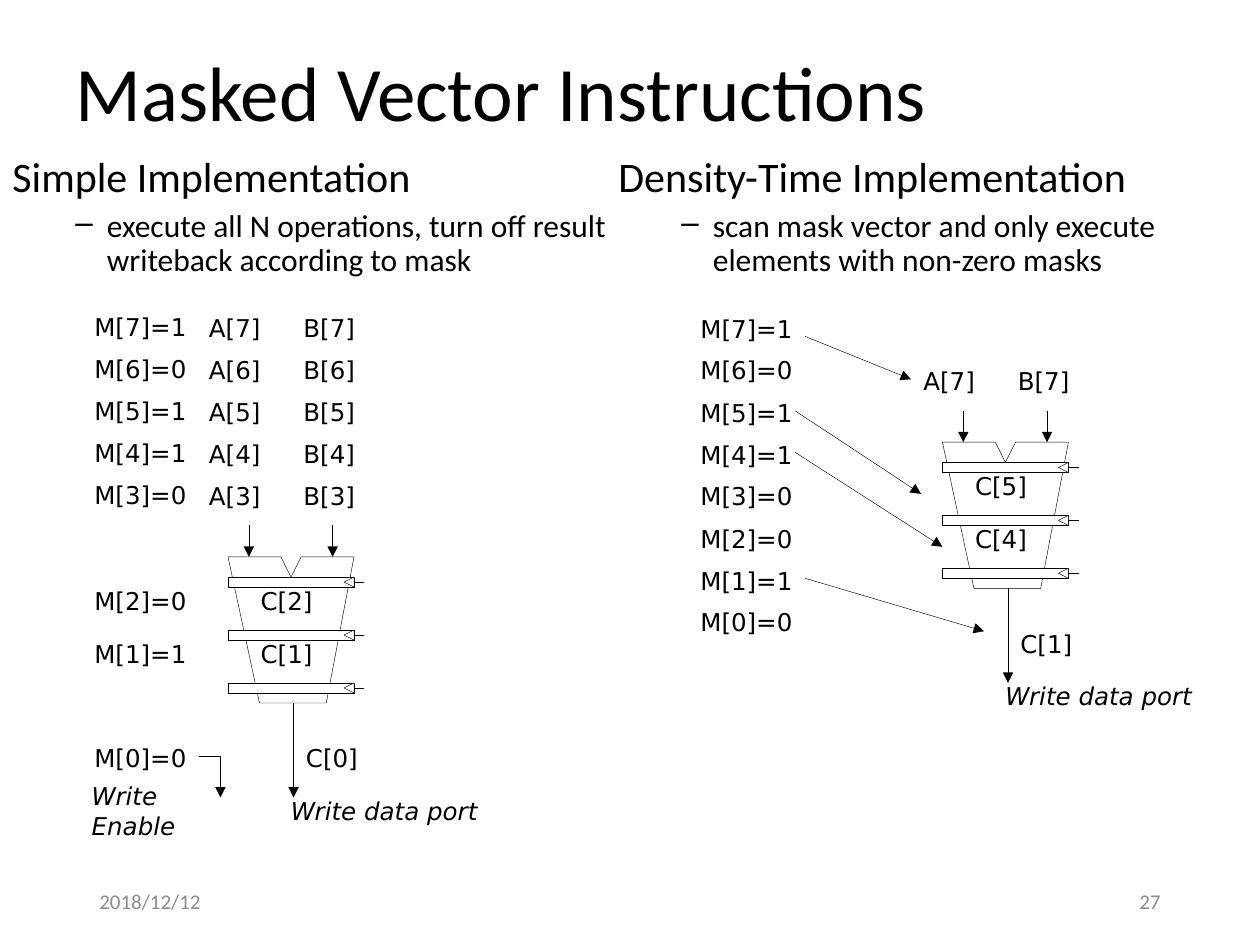
from pptx import Presentation, util as u
from pptx.dml.color import RGBColor
from pptx.enum import shapes, text
from pptx.oxml.ns import qn
from lxml import etree

TITLE = "Masked Vector Instructions"
DATE, NUMBER = "2018/12/12", "27"
MASK = {7: 1, 6: 0, 5: 1, 4: 1, 3: 0, 2: 0, 1: 1, 0: 0}
SIMPLE = dict(
    heading="Simple Implementation",
    detail="execute all N operations, turn off result writeback according to mask",
    left=0, width=5, unit=(1.81, 4.42), stages=("C[2]", "C[1]"), result="C[0]",
    mask_left=0.65, mask_tops=[2.43 + i / 3 for i in range(5)] + [4.6, 5.02, 5.85],
    operands=(7, 6, 5, 4, 3))
DENSITY = dict(
    heading="Density-Time Implementation",
    detail="scan mask vector and only execute elements with non-zero masks",
    left=4.81, width=5.17, unit=(7.48, 3.51), stages=("C[5]", "C[4]"), result="C[1]",
    mask_left=5.46, mask_tops=[2.44 + i / 3 for i in range(8)],
    operands=(7,))
SELECTIONS = [((6.39, 2.67), (7.23, 3.01)), ((6.31, 3.26), (7.31, 3.92)),
              ((6.31, 3.59), (7.48, 4.34)), ((6.39, 4.59), (7.81, 5.01))]
FUNNEL = [(0, 0), (0.25, 1.16), (0.78, 1.16), (1, 0), (0.58, 0), (0.5, 0.16), (0.42, 0)]
CLOCK = [(1, 0.08), (0.92, 0.04), (1, 0)]
ENABLE = [(1.58, 6), (1.75, 6), (1.75, 6.33)]
ROW, STAGE, BAR = 1 / 3, 0.42, 0.08

deck = Presentation()
deck.slide_width, deck.slide_height = u.Inches(10), u.Inches(7.5)
slide = deck.slides.add_slide(deck.slide_layouts[5])


def color(value):
    return RGBColor.from_string(value)


def write(words, at=None, box=None, size=14, font="DejaVu Sans", ink="000000",
          italic=False, align="LEFT", wrap=False, grow=True, spacing=None,
          before=0, indent=None, bullet=None):
    if box is None:
        box = slide.shapes.add_textbox(0, 0, 0, 0)
    if at:
        box.left, box.top, box.width, box.height = map(u.Inches, at)
    frame = box.text_frame
    frame.word_wrap = wrap
    frame.auto_size = getattr(text.MSO_AUTO_SIZE, "SHAPE_TO_FIT_TEXT" if grow else "NONE")
    frame.vertical_anchor = text.MSO_ANCHOR.MIDDLE
    line = frame.add_paragraph() if frame.text else frame.paragraphs[0]
    line.alignment = getattr(text.PP_ALIGN, align)
    line.space_before = u.Pt(before)
    line.line_spacing = spacing
    run = line.add_run()
    run.text = words
    run.font.size, run.font.name, run.font.italic = u.Pt(size), font, italic
    run.font.color.rgb = color(ink)
    props = line._p.get_or_add_pPr()
    if indent:
        props.set("marL", str(u.Inches(indent[0])))
        props.set("indent", str(u.Inches(indent[1])))
    if bullet:
        line.level = 1
        etree.SubElement(props, qn("a:buChar"), char=bullet)
    return box


def outline(shape, arrow=False):
    shape.line.color.rgb = color("000000")
    shape.line.width = u.Pt(0.25)
    if arrow:
        etree.SubElement(shape.line._get_or_add_ln(), qn("a:tailEnd"), type="triangle")


def stroke(start, end, arrow=False):
    link = slide.shapes.add_connector(shapes.MSO_CONNECTOR.STRAIGHT,
                                      *map(u.Inches, (*start, *end)))
    outline(link, arrow)
    etree.SubElement(link._element.spPr, qn("a:effectLst"))


def paint(shape, fill):
    shape.shadow.inherit = False
    if fill:
        shape.fill.solid()
        shape.fill.fore_color.rgb = color(fill)
    else:
        shape.fill.background()


def polygon(points, x=0, y=0, fill=None, closed=True, arrow=False):
    spots = [(u.Inches(x + px), u.Inches(y + py)) for px, py in points]
    builder = slide.shapes.build_freeform(*spots[0])
    builder.add_line_segments(spots[1:], close=closed)
    shape = builder.convert_to_shape()
    paint(shape, fill)
    outline(shape, arrow)


def pipeline(x, y, stages, result):
    polygon(FUNNEL, x, y)
    for i in range(3):
        top = y + 0.16 + i * STAGE
        bar = slide.shapes.add_shape(shapes.MSO_SHAPE.RECTANGLE,
                                     *map(u.Inches, (x, top, 1, BAR)))
        paint(bar, "FFFFFF")
        outline(bar)
        polygon(CLOCK, x, top, "FFFFFF")
        stroke((x + 1, top + BAR / 2), (x + 1.08, top + BAR / 2))
    for i, stage in enumerate(stages):
        write(stage, (x + 0.16, y + 0.18 + i * STAGE, 0.64, 0.33))
    for inlet in (0.165, 0.83):
        stroke((x + inlet, y - 0.25), (x + inlet, y), arrow=True)
    stroke((x + 0.52, y + 1.16), (x + 0.52, y + 1.91), arrow=True)
    write(result, (x + 0.52, y + 1.43, 0.64, 0.33))
    write("Write data port", (x + 0.4, y + 1.85, 1.69, 0.33), italic=True)


def panel(heading, detail, left, width, unit, stages, result,
          mask_left, mask_tops, operands):
    x, y = unit
    body = dict(font="Calibri", wrap=True, spacing=0.9)
    box = write(heading, (left, 1.17, width, 1.11), size=24, before=7.2,
                indent=(0.31, -0.31), **body)
    write(detail, box=box, size=18, before=5.4, indent=(0.75, -0.25), bullet="–", **body)
    pipeline(x, y, stages, result)
    for (index, bit), top in zip(MASK.items(), mask_tops):
        write(f"M[{index}]={bit}", (mask_left, top, 0.95, 0.33))
    for i, index in enumerate(reversed(operands)):
        for name, shift in (("A", -0.25), ("B", 0.5)):
            write(f"{name}[{index}]", (x + shift, y - 0.65 - i * ROW, 0.64, 0.33))


write(TITLE, (0.5, 0.04, 8.62, 1.45), slide.shapes.title, size=44, font="Calibri",
      wrap=True, grow=False, spacing=0.9)
panel(**DENSITY)
for start, end in SELECTIONS:
    stroke(start, end, arrow=True)
panel(**SIMPLE)
polygon(ENABLE, closed=False, arrow=True)
write("Write Enable", (0.63, 6.27, 1.44, 0.33), italic=True)
for words, left, align in ((DATE, 0.69, "LEFT"), (NUMBER, 7.06, "RIGHT")):
    write(words, (left, 6.95, 2.25, 0.4), size=12, font="Calibri", ink="8C8C8C",
          align=align, wrap=True, grow=False)
deck.save("out.pptx")
